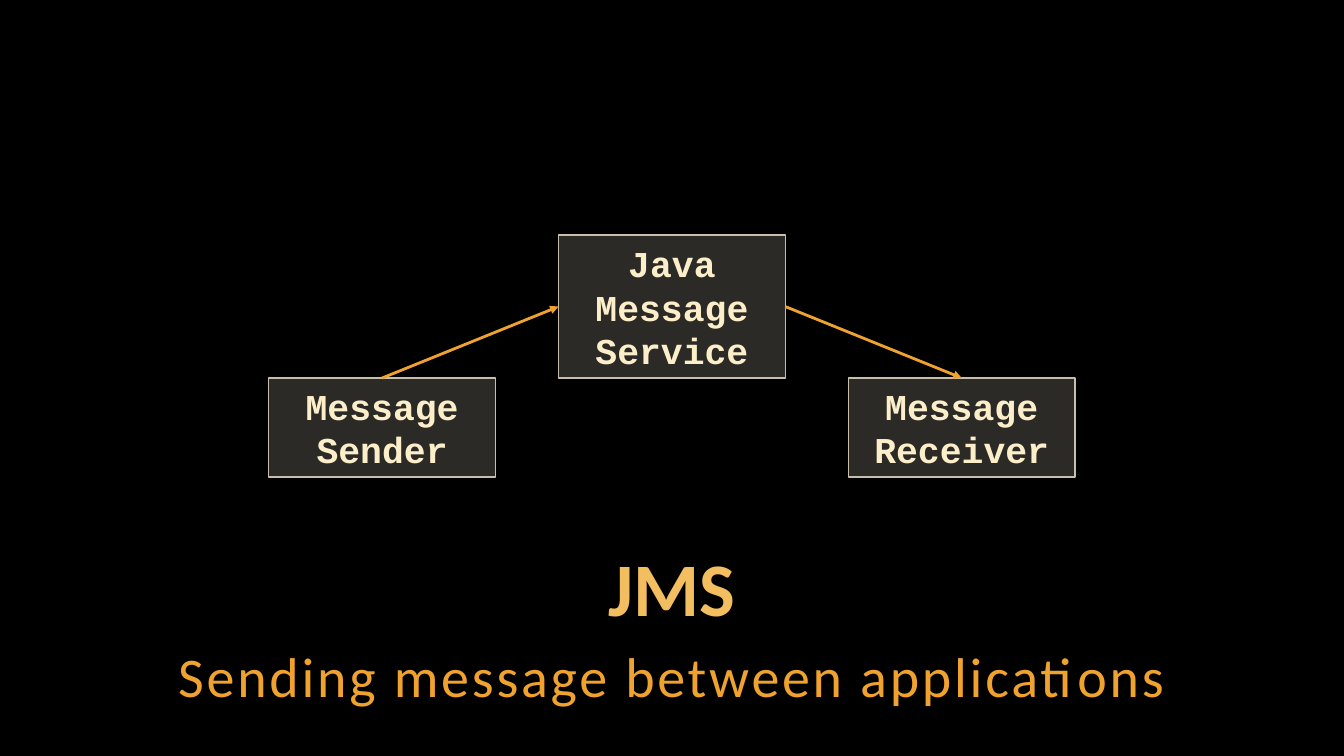
from dataclasses import dataclass

from lxml import etree
from pptx import Presentation
from pptx import util as u
from pptx.dml.color import RGBColor
from pptx.enum import shapes, text
from pptx.oxml.ns import qn
from pptx.shapes.autoshape import Shape
from pptx.slide import Slide

BLACK = RGBColor(0x00, 0x00, 0x00)
ORANGE = RGBColor(0xF0, 0xA2, 0x2E)
LIGHT_ORANGE = RGBColor(0xF3, 0xBE, 0x60)
CREAM = RGBColor(0xFB, 0xEE, 0xC9)
STONE = RGBColor(0xD9, 0xD5, 0xC7)
STONE_EDGE = RGBColor(0xC7, 0xBF, 0xAC)

COLUMNS, ROWS = 160, 90
CELL = u.Inches(1 / 12)
NODE_WIDTH = 27
NODE_PITCH = 34.5
NODE_OPACITY = 20
TOP, LEFT, RIGHT = 0, 1, 3


@dataclass(frozen=True)
class Node:
    label: str
    step: int
    row: float
    rows: float


@dataclass(frozen=True)
class Arrow:
    start: str
    start_side: int
    end: str
    end_side: int


@dataclass(frozen=True)
class Caption:
    words: str
    row: float
    rows: float
    size: int
    color: RGBColor
    bold: bool
    anchor: text.MSO_ANCHOR
    line_spacing: float
    space_after: int
    tracking: int


SENDER, SERVICE, RECEIVER = "Message Sender", "Java Message Service", "Message Receiver"
NODES = [
    Node(SENDER, -1, 45, 11.8),
    Node(SERVICE, 0, 28, 17),
    Node(RECEIVER, 1, 45, 11.8),
]
ARROWS = [
    Arrow(SENDER, TOP, SERVICE, LEFT),
    Arrow(SERVICE, RIGHT, RECEIVER, TOP),
]
CAPTIONS = [
    Caption("JMS", 65, 10.8, 54, LIGHT_ORANGE, True,
            text.MSO_ANCHOR.BOTTOM, 0.9, 0, 0),
    Caption("Sending message between applications", 75.5, 9.5, 40, ORANGE, False,
            text.MSO_ANCHOR.TOP, 1.05, 6, 200),
]


def cells(count: float) -> u.Length:
    return u.Emu(round(count * CELL))


def draw_node(page: Slide, node: Node) -> Shape:
    column = (COLUMNS - NODE_WIDTH) / 2 + node.step * NODE_PITCH
    box = page.shapes.add_shape(
        shapes.MSO_SHAPE.RECTANGLE,
        cells(column), cells(node.row), cells(NODE_WIDTH), cells(node.rows))
    box.shadow.inherit = False
    box.fill.solid()
    box.fill.fore_color.rgb = STONE
    tint = box.fill._xPr.find(qn("a:solidFill"))[0]
    etree.SubElement(tint, qn("a:alpha")).set("val", str(NODE_OPACITY * 1000))
    box.line.color.rgb = STONE_EDGE
    box.line.width = u.Pt(1)
    frame = box.text_frame
    frame.word_wrap = True
    frame.vertical_anchor = text.MSO_ANCHOR.MIDDLE
    frame.text = node.label
    para = frame.paragraphs[0]
    para.alignment = text.PP_ALIGN.CENTER
    font = para.runs[0].font
    font.name, font.size, font.bold = "Courier New", u.Pt(26), True
    font.color.rgb = CREAM
    return box


def draw_arrow(page: Slide, arrow: Arrow, boxes: dict[str, Shape]) -> None:
    line = page.shapes.add_connector(shapes.MSO_CONNECTOR.STRAIGHT, 0, 0, 0, 0)
    line.begin_connect(boxes[arrow.start], arrow.start_side)
    line.end_connect(boxes[arrow.end], arrow.end_side)
    line.line.color.rgb = ORANGE
    line.line.width = u.Pt(2)
    properties = line._element.spPr
    head = etree.SubElement(properties.find(qn("a:ln")), qn("a:tailEnd"))
    head.set("type", "triangle")
    etree.SubElement(properties, qn("a:effectLst"))


def draw_caption(page: Slide, caption: Caption) -> None:
    margin = 12
    box = page.shapes.add_textbox(
        cells(margin), cells(caption.row),
        cells(COLUMNS - 2 * margin), cells(caption.rows))
    frame = box.text_frame
    frame.word_wrap = True
    frame.vertical_anchor = caption.anchor
    frame.margin_left = frame.margin_right = u.Inches(0.04)
    frame.margin_top = frame.margin_bottom = u.Inches(0.04)
    frame.text = caption.words
    para = frame.paragraphs[0]
    para.alignment = text.PP_ALIGN.CENTER
    para.line_spacing = caption.line_spacing
    para.space_after = u.Pt(caption.space_after)
    span = para.runs[0]
    span.font.name, span.font.size = "Calibri", u.Pt(caption.size)
    span.font.bold = caption.bold
    span.font.color.rgb = caption.color
    span._r.get_or_add_rPr().set("spc", str(caption.tracking))


def main() -> None:
    deck = Presentation()
    deck.slide_width, deck.slide_height = cells(COLUMNS), cells(ROWS)
    page = deck.slides.add_slide(deck.slide_layouts[6])
    page.background.fill.solid()
    page.background.fill.fore_color.rgb = BLACK
    boxes = {node.label: draw_node(page, node) for node in NODES}
    for arrow in ARROWS:
        draw_arrow(page, arrow, boxes)
    for caption in CAPTIONS:
        draw_caption(page, caption)
    deck.save("out.pptx")


if __name__ == "__main__":
    main()
